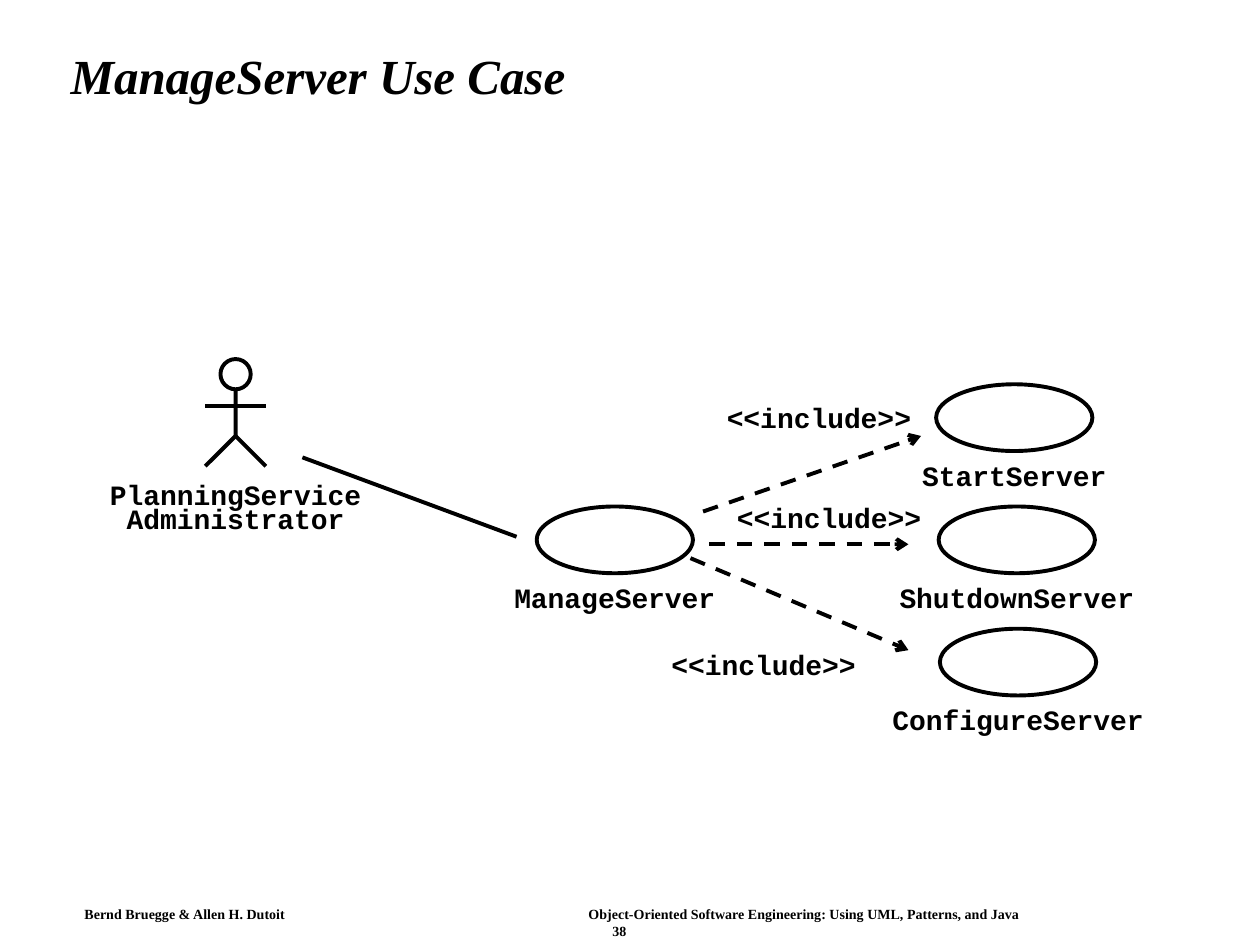
"""Build the ManageServer use case slide."""
from dataclasses import dataclass
from lxml import etree
from pptx import Presentation
from pptx.dml.color import RGBColor
from pptx.enum.dml import MSO_LINE
from pptx.enum.shapes import MSO_CONNECTOR, MSO_SHAPE
from pptx.enum.text import MSO_ANCHOR, PP_ALIGN
from pptx.oxml.ns import qn
from pptx.util import Inches, Pt

OVAL = MSO_SHAPE.OVAL
STRAIGHT = MSO_CONNECTOR.STRAIGHT
DASH = MSO_LINE.DASH
MIDDLE = MSO_ANCHOR.MIDDLE
LEFT, CENTER = PP_ALIGN.LEFT, PP_ALIGN.CENTER


@dataclass
class Theme:
    ink: RGBColor = RGBColor(0, 0, 0)
    paper: RGBColor = RGBColor(255, 255, 255)
    serif: str = "Times New Roman"
    mono: str = "Courier New"
    title: Pt = Pt(28)
    label: Pt = Pt(16)
    foot: Pt = Pt(8)
    line: Pt = Pt(2.25)


theme = Theme()


def style(par, face, size, align):
    par.alignment = align
    for run in par.runs:
        run.font.name = face
        run.font.size = size
        run.font.bold = True
        run.font.color.rgb = theme.ink


def link(parent, x1, y1, x2, y2, arrow=False):
    line = parent.add_connector(
        STRAIGHT, Inches(x1), Inches(y1), Inches(x2), Inches(y2))
    line.line.color.rgb = theme.ink
    line.line.width = theme.line
    etree.SubElement(line._element.spPr, qn("a:effectLst"))
    if arrow:
        line.line.dash_style = DASH
        tail = etree.SubElement(line.line._get_or_add_ln(), qn("a:tailEnd"))
        tail.set("type", "arrow")


deck = Presentation()
deck.slide_width, deck.slide_height = Inches(10), Inches(7.5)
slide = deck.slides.add_slide(deck.slide_layouts[5])
shapes = slide.shapes

title = shapes.title
title.left, title.top = Inches(0.46), Inches(0.24)
title.width, title.height = Inches(8.92), Inches(0.77)
title.text_frame.text = "ManageServer Use Case"
title.text_frame.vertical_anchor = MIDDLE
head = title.text_frame.paragraphs[0]
head.line_spacing = 0.9
style(head, theme.serif, theme.title, LEFT)
head.runs[0].font.italic = True

foot = shapes.add_textbox(Inches(0.59), Inches(7.15), Inches(8.65), Inches(0.34))
frame = foot.text_frame
frame.word_wrap = True
frame.margin_left = frame.margin_right = Inches(0.08)
frame.margin_top = frame.margin_bottom = Inches(0.04)
frame.text = ("Bernd Bruegge & Allen H. Dutoit\t"
              "Object-Oriented Software Engineering: Using UML, Patterns, and Java\n38")
for par, align in zip(frame.paragraphs, (LEFT, CENTER)):
    style(par, theme.serif, theme.foot, align)
tabs = etree.SubElement(frame.paragraphs[0]._p.get_or_add_pPr(), qn("a:tabLst"))
etree.SubElement(tabs, qn("a:tab"), pos=str(Inches(4)), algn="l")

actor = shapes.add_group_shape()
mid = 1.87
body = [(Inches(x), Inches(y)) for x, y in
        ((mid, 3.02), (mid, 3.46), (mid - 0.24, 3.7))]
pen = actor.shapes.build_freeform(*body[0], scale=1.0)
pen.add_line_segments(body[1:], close=False)
trunk = pen.convert_to_shape()
trunk.fill.background()
link(actor.shapes, mid, 3.46, mid + 0.24, 3.7)
link(actor.shapes, mid - 0.24, 3.22, mid + 0.24, 3.22)
face = actor.shapes.add_shape(
    OVAL, Inches(mid - 0.12), Inches(2.85), Inches(0.24), Inches(0.24))
face.fill.solid()
face.fill.fore_color.rgb = theme.paper
outlines = [trunk, face]

labels = [("PlanningService", mid, 3.79), ("Administrator", mid, 3.98),
          ("<<include>>", 6.5, 3.18), ("<<include>>", 6.58, 3.97),
          ("<<include>>", 6.06, 5.14)]
cases = [("ManageServer", 4.88, 4.02), ("StartServer", 8.05, 3.05),
         ("ShutdownServer", 8.07, 4.02), ("ConfigureServer", 8.08, 4.99)]
for name, x, y in cases:
    case = shapes.add_shape(
        OVAL, Inches(x - 0.62), Inches(y), Inches(1.24), Inches(0.53))
    case.fill.background()
    outlines.append(case)
    labels.append((name, x, y + 0.59))

for shape in outlines:
    shape.shadow.inherit = False
    shape.line.color.rgb = theme.ink
    shape.line.width = theme.line

for text, x, y in labels:
    wide = len(text) * 2 / 15
    box = shapes.add_textbox(
        Inches(x - wide / 2), Inches(y), Inches(wide), Inches(0.27))
    frame = box.text_frame
    frame.word_wrap = False
    frame.margin_left = frame.margin_right = 0
    frame.margin_top = frame.margin_bottom = 0
    frame.text = text
    style(frame.paragraphs[0], theme.mono, theme.label, CENTER)

link(shapes, 2.4, 3.63, 4.1, 4.26)
for ends in ((5.58, 4.06, 7.31, 3.46), (5.63, 4.32, 7.21, 4.32),
             (5.48, 4.43, 7.21, 5.16)):
    link(shapes, *ends, arrow=True)

deck.save("out.pptx")
